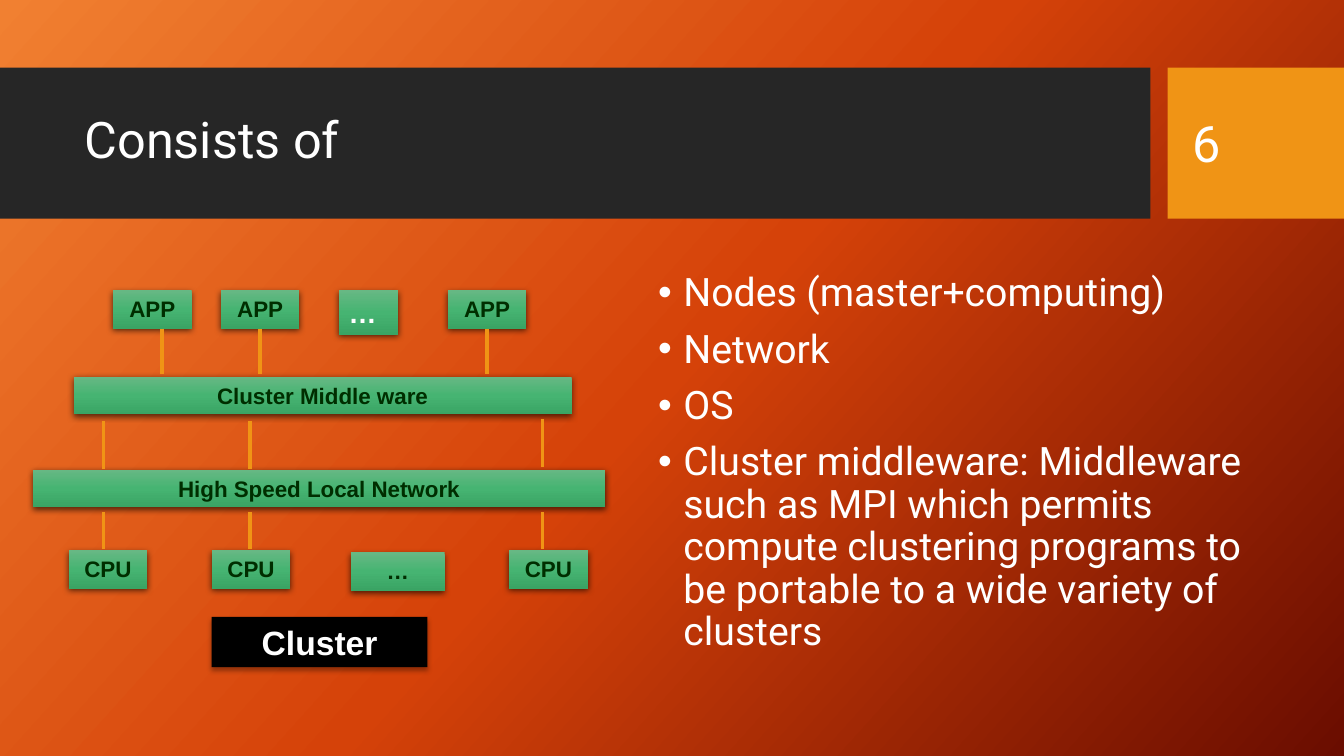
import pptx
import pptx.util
import pptx.dml.color
import pptx.enum.shapes
import pptx.enum.text
import pptx.oxml.ns
from dataclasses import dataclass
from lxml import etree

Inches, Pt = pptx.util.Inches, pptx.util.Pt
qn = pptx.oxml.ns.qn
ALIGN, ANCHOR = pptx.enum.text.PP_ALIGN, pptx.enum.text.MSO_ANCHOR
RECT = pptx.enum.shapes.MSO_SHAPE.RECTANGLE
STRAIGHT = pptx.enum.shapes.MSO_CONNECTOR.STRAIGHT


@dataclass(frozen=True)
class Theme:
    background: tuple = ("F18031", "D54209", "6A0D00")
    green: tuple = ("67B884", "46B472", "3AA464")
    band: str = "262626"
    accent: str = "F09415"
    light: str = "FFFFFF"
    dark: str = "000000"
    label: str = "002E00"
    font: str = "Roboto"
    diagram_font: str = "Arial"
    title_size: int = 36
    body_size: int = 28
    caption_size: int = 24
    dots_size: int = 20
    label_size: int = 16


def rgb(value):
    return pptx.dml.color.RGBColor.from_string(value)


def sub(parent, tag, **attrs):
    return etree.SubElement(parent, qn(tag), {k: str(v) for k, v in attrs.items()})


def set_gradient(fill, element, colors, angle):
    """Spread the colours evenly; the angle runs clockwise in degrees."""
    fill.gradient()
    fill.gradient_angle = 360 - angle
    stops = element.find(".//" + qn("a:gsLst"))
    for gs in list(stops):
        stops.remove(gs)
    for i, color in enumerate(colors):
        gs = sub(stops, "a:gs", pos=100000 * i // (len(colors) - 1))
        sub(gs, "a:srgbClr", val=color)


def set_text(sp, text, *, size, font, color, bold=False, align=ALIGN.LEFT,
             anchor=ANCHOR.TOP, spacing=None, before=0, bullet=None):
    """Write one paragraph for each line of text."""
    tf = sp.text_frame
    tf.word_wrap = True
    tf.vertical_anchor = anchor
    for i, line in enumerate(text.split("\n")):
        p = tf.add_paragraph() if i else tf.paragraphs[0]
        if bullet:
            pPr = p._p.get_or_add_pPr()
            pPr.set("marL", str(Inches(0.25)))
            pPr.set("indent", str(Inches(-0.25)))
            sub(pPr, "a:buFont", typeface="Arial")
            sub(pPr, "a:buChar", char=bullet)
        p.alignment = align
        p.line_spacing = spacing
        p.space_before = Pt(before if i else 0)
        r = p.add_run()
        r.text = line
        r.font.size, r.font.name, r.font.bold = Pt(size), font, bold
        r.font.color.rgb = rgb(color)


class Deck:
    """Holds the theme and the slide being drawn."""

    def __init__(self, prs, theme):
        self.theme = theme
        self.slide = prs.slides.add_slide(prs.slide_layouts[6])
        set_gradient(self.slide.background.fill, self.slide.element, theme.background, 42)

    def rect(self, x, y, w, h, fill):
        sp = self.slide.shapes.add_shape(RECT, Inches(x), Inches(y), Inches(w), Inches(h))
        sp.shadow.inherit = False
        sp.line.fill.background()
        if isinstance(fill, tuple):
            set_gradient(sp.fill, sp.element, fill, 90)
        else:
            sp.fill.solid()
            sp.fill.fore_color.rgb = rgb(fill)
        return sp

    def text(self, x, y, w, h, text, **style):
        sp = self.slide.shapes.add_textbox(Inches(x), Inches(y), Inches(w), Inches(h))
        set_text(sp, text, font=self.theme.font, color=self.theme.light, **style)

    def block(self, x, y, w, h, text, *, fill=None, shadow=(63, 4.5, 1.5), **style):
        """Draw a labelled box; shadow is opacity %, blur and distance in points."""
        sp = self.rect(x, y, w, h, fill or self.theme.green)
        alpha, blur, dist = shadow
        effects = sp.element.find(".//" + qn("a:effectLst"))
        shade = sub(effects, "a:outerShdw", blurRad=Pt(blur), dist=Pt(dist),
                    dir=5400000, algn="ctr", rotWithShape=0)
        sub(sub(shade, "a:srgbClr", val=self.theme.dark), "a:alpha", val=alpha * 1000)
        look = dict(size=self.theme.label_size, color=self.theme.label, align=ALIGN.CENTER)
        set_text(sp, text, font=self.theme.diagram_font, bold=True, **{**look, **style})

    def link(self, x, top, bottom, width):
        line = self.slide.shapes.add_connector(
            STRAIGHT, Inches(x), Inches(top), Inches(x), Inches(bottom))
        line.line.color.rgb = rgb(self.theme.accent)
        line.line.width = Pt(width)
        sub(line.element.spPr, "a:effectLst")


def draw_header(deck):
    t = deck.theme
    deck.rect(0, 0.67, 11.41, 1.5, t.band)
    deck.rect(11.58, 0.67, 1.75, 1.5, t.accent)
    deck.text(0.74, 0.82, 10.51, 1.18, "Consists of", size=t.title_size,
              anchor=ANCHOR.MIDDLE, spacing=0.9)
    deck.text(11.73, 0.82, 1.26, 1.19, "6", size=t.title_size, anchor=ANCHOR.MIDDLE)


def draw_points(deck):
    points = [
        "Nodes (master+computing)",
        "Network",
        "OS",
        "Cluster middleware: Middleware such as MPI which permits compute "
        "clustering programs to be portable to a wide variety of clusters",
    ]
    deck.text(6.43, 2.66, 6.15, 3.94, "\n".join(points), size=deck.theme.body_size,
              spacing=0.9, before=10, bullet="•")


def draw_cluster(deck):
    t = deck.theme
    for x in (0.68, 2.1, 5.05):
        deck.block(x, 5.46, 0.78, 0.38, "CPU")
    deck.block(3.48, 5.48, 0.93, 0.38, "…")
    deck.block(0.33, 4.66, 5.67, 0.37, "High Speed Local Network")
    deck.block(0.73, 3.74, 4.94, 0.37, "Cluster Middle ware")
    deck.block(2.1, 6.12, 2.14, 0.5, "Cluster", fill=t.dark, shadow=(32, 3.5, 2.2),
               size=t.caption_size, color=t.light)
    for x, top in ((1.03, 4.18), (2.48, 4.18), (5.38, 4.16)):
        deck.link(x, top, top + 0.47, 2.25)
        deck.link(x, 5.08, 5.45, 2.25)
    for x, link_x in ((1.12, 1.61), (2.19, 2.58), (4.44, 4.83)):
        deck.block(x, 2.88, 0.78, 0.38, "APP")
        deck.link(link_x, 3.26, 3.71, 3)
    deck.block(3.36, 2.88, 0.59, 0.44, "…", size=t.dots_size, color=t.light,
               align=ALIGN.LEFT)


def main():
    prs = pptx.Presentation()
    prs.slide_width, prs.slide_height = Inches(13.33), Inches(7.5)
    deck = Deck(prs, Theme())
    draw_header(deck)
    draw_points(deck)
    draw_cluster(deck)
    prs.save("out.pptx")


if __name__ == "__main__":
    main()
